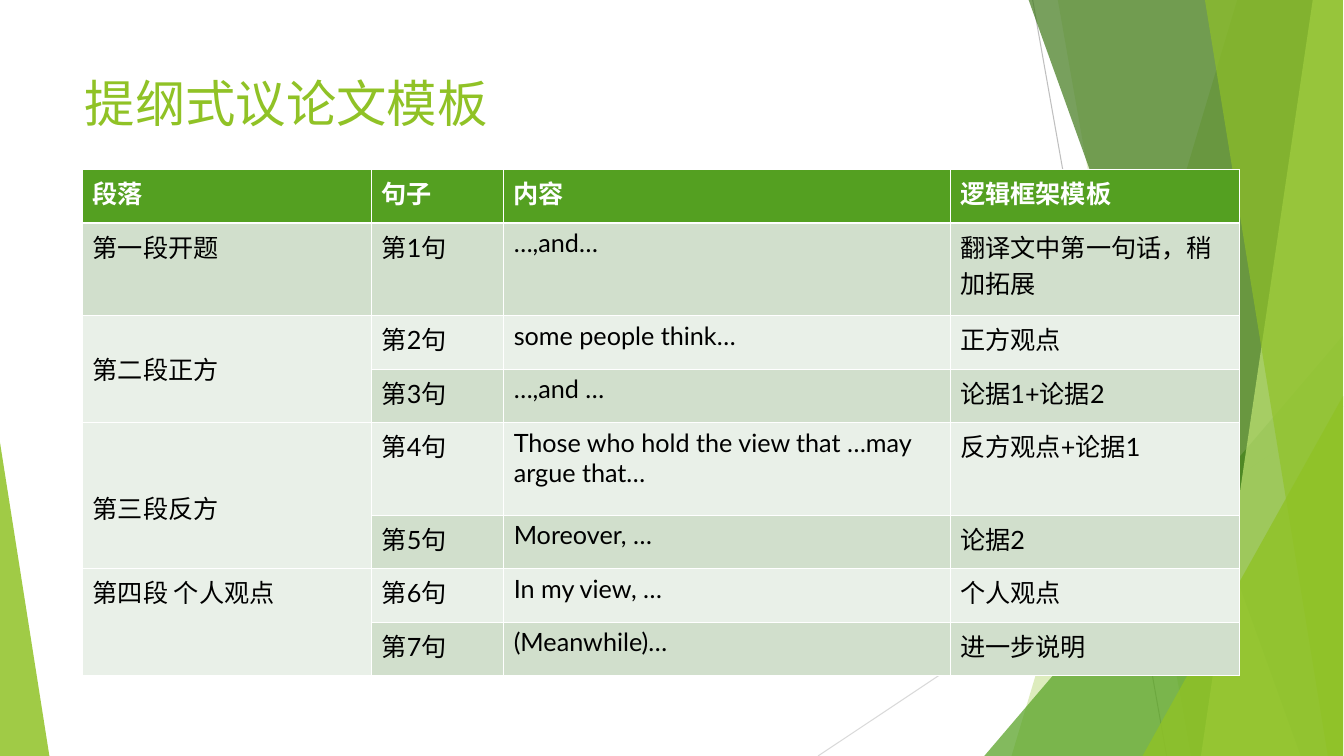
import lxml.etree
import pptx
import pptx.dml.color
import pptx.enum.shapes
import pptx.enum.text
import pptx.oxml.ns
import pptx.util

Inches = pptx.util.Inches
Pt = pptx.util.Pt
RGBColor = pptx.dml.color.RGBColor
Anchor = pptx.enum.text.MSO_ANCHOR
qn = pptx.oxml.ns.qn

LIME = RGBColor(0x90, 0xC2, 0x26)
PALE_LIME = RGBColor(0xC0, 0xE4, 0x74)
GREEN = RGBColor(0x54, 0xA0, 0x21)
DARK_GREEN = RGBColor(0x3F, 0x78, 0x19)
BAND_DARK = RGBColor(0xD1, 0xDF, 0xCC)
BAND_LIGHT = RGBColor(0xE9, 0xF0, 0xE8)
GREY = RGBColor(0xBF, 0xBF, 0xBF)
LIGHT_GREY = RGBColor(0xD9, 0xD9, 0xD9)
WHITE = RGBColor(0xFF, 0xFF, 0xFF)
BLACK = RGBColor(0, 0, 0)

RIGHT, BOTTOM = 13.33, 7.5
TITLE_FORMAT = {"name": "Lato", "size": Pt(36), "bold": False}
HEADER_FORMAT = {"name": "Lato", "size": Pt(18), "bold": True}
BODY_FORMAT = {"name": "Lato", "size": Pt(18), "bold": False}

COLUMN_WIDTHS = (2.87, 1.31, 4.43, 2.87)
ROW_HEIGHT, TALL_ROW_HEIGHT = 0.53, 0.92
TALL_ROWS = (1, 4)
MERGED_ROWS = (2, 4, 6)
ROWS = (
    ("段落", "句子", "内容", "逻辑框架模板"),
    ("第一段开题", "第1句", "…,and…", "翻译文中第一句话，稍加拓展"),
    ("第二段正方", "第2句", "some people think…", "正方观点"),
    ("", "第3句", "…,and …", "论据1+论据2"),
    ("第三段反方", "第4句", "Those who hold the view that …may argue that…", "反方观点+论据1"),
    ("", "第5句", "Moreover, …", "论据2"),
    ("第四段 个人观点", "第6句", "In my view, …", "个人观点"),
    ("", "第7句", "(Meanwhile)…", "进一步说明"),
)


def set_attributes(target, values):
    for name, value in values.items():
        setattr(target, name, value)


def write_text(text_frame, text, text_format, color):
    paragraph = text_frame.paragraphs[0]
    paragraph.text = text
    paragraph.alignment = pptx.enum.text.PP_ALIGN.LEFT
    set_attributes(paragraph.font, text_format)
    paragraph.font.color.rgb = color


def paint(shape, color, opacity):
    """Give the shape a see-through fill, with no outline and no shadow."""
    shape.shadow.inherit = False
    shape.line.fill.background()
    shape.fill.solid()
    shape.fill.fore_color.rgb = color
    color_element = shape.element.spPr.find(".//" + qn("a:srgbClr"))
    lxml.etree.SubElement(color_element, qn("a:alpha"), val=str(opacity * 1000))


def add_thin_line(slide, start, end, color):
    connector = slide.shapes.add_connector(
        pptx.enum.shapes.MSO_CONNECTOR.STRAIGHT,
        *(Inches(value) for value in start + end))
    connector.line.color.rgb = color
    connector.line.width = Pt(0.75)
    lxml.etree.SubElement(connector.element.spPr, qn("a:effectLst"))


def add_facet(slide, top_left, bottom_left, color, opacity):
    """Fill from a slanted left edge to the right side of the slide."""
    builder = slide.shapes.build_freeform(Inches(top_left), 0)
    corners = ((RIGHT, 0), (RIGHT, BOTTOM), (bottom_left, BOTTOM))
    builder.add_line_segments([(Inches(x), Inches(y)) for x, y in corners])
    paint(builder.convert_to_shape(), color, opacity)


def add_corner_triangle(slide, left, width, height, apex, color, opacity):
    triangle = slide.shapes.add_shape(
        pptx.enum.shapes.MSO_SHAPE.ISOSCELES_TRIANGLE,
        Inches(left), Inches(BOTTOM - height), Inches(width), Inches(height))
    triangle.adjustments[0] = apex
    paint(triangle, color, opacity)


def add_backdrop(slide):
    add_thin_line(slide, (10.25, 0), (11.58, BOTTOM), GREY)
    add_thin_line(slide, (RIGHT, 4.03), (8.12, BOTTOM), LIGHT_GREY)
    add_facet(slide, 12.28, 10.04, LIME, 30)
    add_facet(slide, 10.5, 11.82, LIME, 20)
    add_corner_triangle(slide, 9.77, 3.56, 4.17, 1, GREEN, 72)
    add_facet(slide, 10.21, 12.91, DARK_GREEN, 70)
    add_facet(slide, 13.03, 11.92, PALE_LIME, 70)
    add_facet(slide, 11.96, 13.18, LIME, 65)
    add_corner_triangle(slide, 11.34, 1.99, 3.57, 1, LIME, 80)
    add_corner_triangle(slide, 0, 0.49, 3.11, 0, LIME, 85)


def place_title(slide, text):
    title = slide.shapes.title
    set_attributes(title, {"left": Inches(0.74), "top": Inches(0.67),
                           "width": Inches(9.4), "height": Inches(1.44)})
    set_attributes(title.text_frame, {"word_wrap": True, "vertical_anchor": Anchor.TOP})
    write_text(title.text_frame, text, TITLE_FORMAT, LIME)
    # Bring the title in front of the backdrop
    title.element.getparent().append(title.element)


def add_borders(cell, widths):
    properties = cell._tc.get_or_add_tcPr()
    for side, width in widths.items():
        line = lxml.etree.SubElement(properties, qn("a:ln" + side), w=str(Pt(width)))
        fill = lxml.etree.SubElement(line, qn("a:solidFill"))
        lxml.etree.SubElement(fill, qn("a:srgbClr"), val=str(WHITE))


def format_cell(cell, row, text):
    add_borders(cell, {"L": 0.45, "R": 0.45,
                       "T": 1.47 if row == 1 else 0.45,
                       "B": 1.47 if row == 0 else 0.45})
    cell.fill.solid()
    if row == 0:
        cell.fill.fore_color.rgb = GREEN
        write_text(cell.text_frame, text, HEADER_FORMAT, WHITE)
    else:
        cell.fill.fore_color.rgb = BAND_DARK if row % 2 else BAND_LIGHT
        write_text(cell.text_frame, text, BODY_FORMAT, BLACK)


def add_outline_table(slide):
    heights = [TALL_ROW_HEIGHT if row in TALL_ROWS else ROW_HEIGHT
               for row in range(len(ROWS))]
    table = slide.shapes.add_table(
        len(ROWS), len(COLUMN_WIDTHS), Inches(0.82), Inches(1.68),
        Inches(sum(COLUMN_WIDTHS)), Inches(sum(heights))).table
    for column, width in zip(table.columns, COLUMN_WIDTHS):
        column.width = Inches(width)
    for row, height in zip(table.rows, heights):
        row.height = Inches(height)
    for row, texts in enumerate(ROWS):
        for column, text in enumerate(texts):
            format_cell(table.cell(row, column), row, text)
    for row in MERGED_ROWS:
        table.cell(row, 0).merge(table.cell(row + 1, 0))
    table.cell(2, 0).vertical_anchor = Anchor.MIDDLE
    set_attributes(table.cell(4, 0), {"vertical_anchor": Anchor.BOTTOM,
                                      "margin_bottom": Inches(0.42)})


def main():
    presentation = pptx.Presentation()
    set_attributes(presentation, {"slide_width": Inches(13.34),
                                  "slide_height": Inches(BOTTOM)})
    slide = presentation.slides.add_slide(presentation.slide_layouts[5])
    add_backdrop(slide)
    place_title(slide, "提纲式议论文模板")
    add_outline_table(slide)
    presentation.save("out.pptx")


if __name__ == "__main__":
    main()
